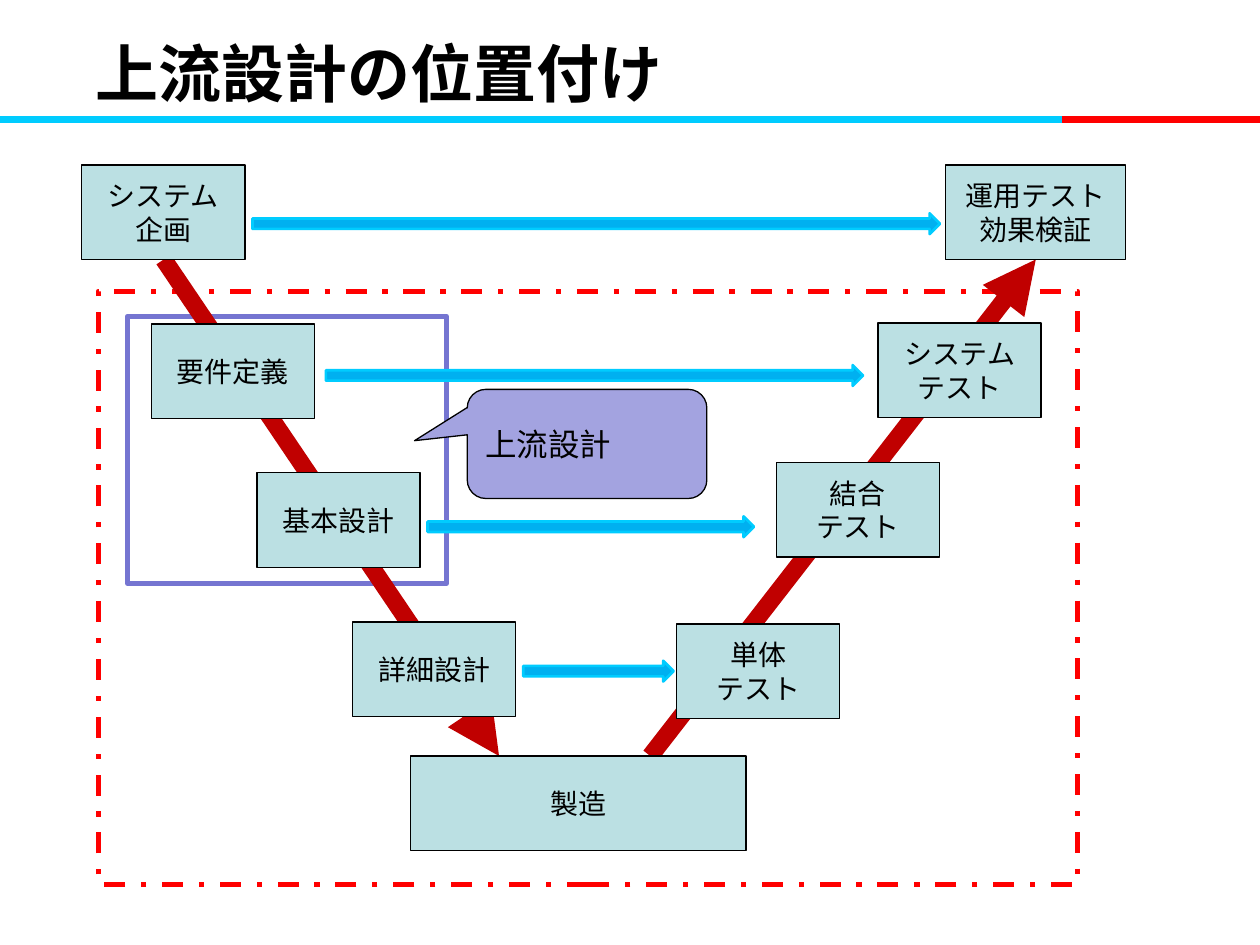
"""Build a V-model slide that shows where upstream design sits."""
from lxml import etree
from pptx import Presentation
from pptx.dml.color import RGBColor
from pptx.enum.dml import MSO_LINE
from pptx.enum.shapes import MSO_CONNECTOR, MSO_SHAPE
from pptx.enum.text import MSO_ANCHOR, PP_ALIGN
from pptx.oxml.ns import qn
from pptx.util import Cm, Pt

STRAIGHT = MSO_CONNECTOR.STRAIGHT
RECT = MSO_SHAPE.RECTANGLE
CALLOUT = MSO_SHAPE.ROUNDED_RECTANGULAR_CALLOUT
ARROW = MSO_SHAPE.RIGHT_ARROW
DASH_DOT = MSO_LINE.DASH_DOT
LEFT, CENTER = PP_ALIGN.LEFT, PP_ALIGN.CENTER
TOP, MIDDLE = MSO_ANCHOR.TOP, MSO_ANCHOR.MIDDLE

COLORS = {
    "text": "000000", "cyan": "00CCFF", "red": "FF0000", "violet": "7575D1",
    "lilac": "A3A3E0", "crimson": "C00000", "step": "BBE0E3", "arrow": "00B0F0",
}
FONT, TITLE_FONT = "Arial", "Noto Sans CJK JP"
STEP_WIDTH, STEP_HEIGHT, ARROW_HEIGHT = 3.29, 1.91, 0.42

TITLE = "上流設計の位置付け"
RULE_Y = 2.41
RULES = [(0, 21.41, "cyan"), (21.41, 25.4, "red")]
V_ARMS = [((3.3, 5.23), (10.06, 15.24)), ((13.11, 15.24), (20.88, 5.23))]
UPSTREAM_FRAME = (2.57, 6.38, 6.43, 5.38)
PROJECT_FRAME = (1.98, 5.87, 19.74, 11.96)
UPSTREAM_NOTE = ("上流設計", (9.42, 7.85, 4.83, 2.2))
STEPS = [
    (["要件定義"], 3.05, 6.53, STEP_WIDTH),
    (["基本設計"], 5.18, 9.53, STEP_WIDTH),
    (["詳細設計"], 7.11, 12.54, STEP_WIDTH),
    (["製造"], 8.28, 15.24, 6.76),
    (["単体", "テスト"], 13.64, 12.58, STEP_WIDTH),
    (["結合", "テスト"], 15.65, 9.32, STEP_WIDTH),
    (["システムテスト"], 17.7, 6.51, STEP_WIDTH),
    (["運用テスト", "効果検証"], 19.06, 3.33, 3.63),
    (["システム", "企画"], 1.65, 3.33, STEP_WIDTH),
]
CHECKS = [
    (10.55, 13.32, 3.03), (8.62, 10.41, 6.58),
    (6.57, 7.36, 10.83), (5.09, 4.3, 13.86),
]


def color(name):
    return RGBColor.from_string(COLORS[name])


def write(shape, lines, size, align, anchor=MIDDLE, font=FONT, bold=False):
    frame = shape.text_frame
    frame.word_wrap = True
    frame.vertical_anchor = anchor
    for number, line in enumerate(lines):
        para = frame.add_paragraph() if number else frame.paragraphs[0]
        para.alignment = align
        span = para.add_run()
        span.text = line
        span.font.name = font
        span.font.size = Pt(size)
        span.font.bold = bold
        span.font.color.rgb = color("text")


def add_box(page, kind, place, fill, line, width):
    box = page.shapes.add_shape(kind, *map(Cm, place))
    box.shadow.inherit = False
    if fill:
        box.fill.solid()
        box.fill.fore_color.rgb = color(fill)
    else:
        box.fill.background()
    box.line.color.rgb = color(line)
    box.line.width = Pt(width)
    return box


def add_line(page, start, end, line, width, arrow=False):
    link = page.shapes.add_connector(STRAIGHT, *map(Cm, start + end))
    link.line.color.rgb = color(line)
    link.line.width = Pt(width)
    if arrow:
        etree.SubElement(link.line._get_or_add_ln(), qn("a:tailEnd"), type="triangle")
    etree.SubElement(link._element.spPr, qn("a:effectLst"))


deck = Presentation()
deck.slide_width, deck.slide_height = Cm(25.4), Cm(19.05)
page = deck.slides.add_slide(deck.slide_layouts[5])

title = page.shapes.title
title.left, title.top, title.width, title.height = map(Cm, (1.68, 0.56, 12.4, 1.8))
write(title, [TITLE], 36, LEFT, TOP, TITLE_FONT, True)
title_props = title.text_frame.paragraphs[0].runs[0].font._element
etree.SubElement(title_props, qn("a:ea"), typeface=TITLE_FONT)

for start, end, name in RULES:
    add_line(page, (start, RULE_Y), (end, RULE_Y), name, 4.5)

add_box(page, RECT, UPSTREAM_FRAME, None, "violet", 3)
note_text, note_place = UPSTREAM_NOTE
note = add_box(page, CALLOUT, note_place, "lilac", "text", 0.75)
for index, value in enumerate((-0.72, -0.03, 0.17)):
    note.adjustments[index] = value
write(note, [note_text], 18, LEFT)
project = add_box(page, RECT, PROJECT_FRAME, None, "red", 3)
project.line.dash_style = DASH_DOT

for start, end in V_ARMS:
    add_line(page, start, end, "crimson", 10, arrow=True)
for lines, left, top, width in STEPS:
    step = add_box(page, RECT, (left, top, width, STEP_HEIGHT), "step", "text", 0.75)
    write(step, lines, 16, CENTER)
for left, top, width in CHECKS:
    add_box(page, ARROW, (left, top, width, ARROW_HEIGHT), "arrow", "cyan", 1.5)

deck.save("out.pptx")
